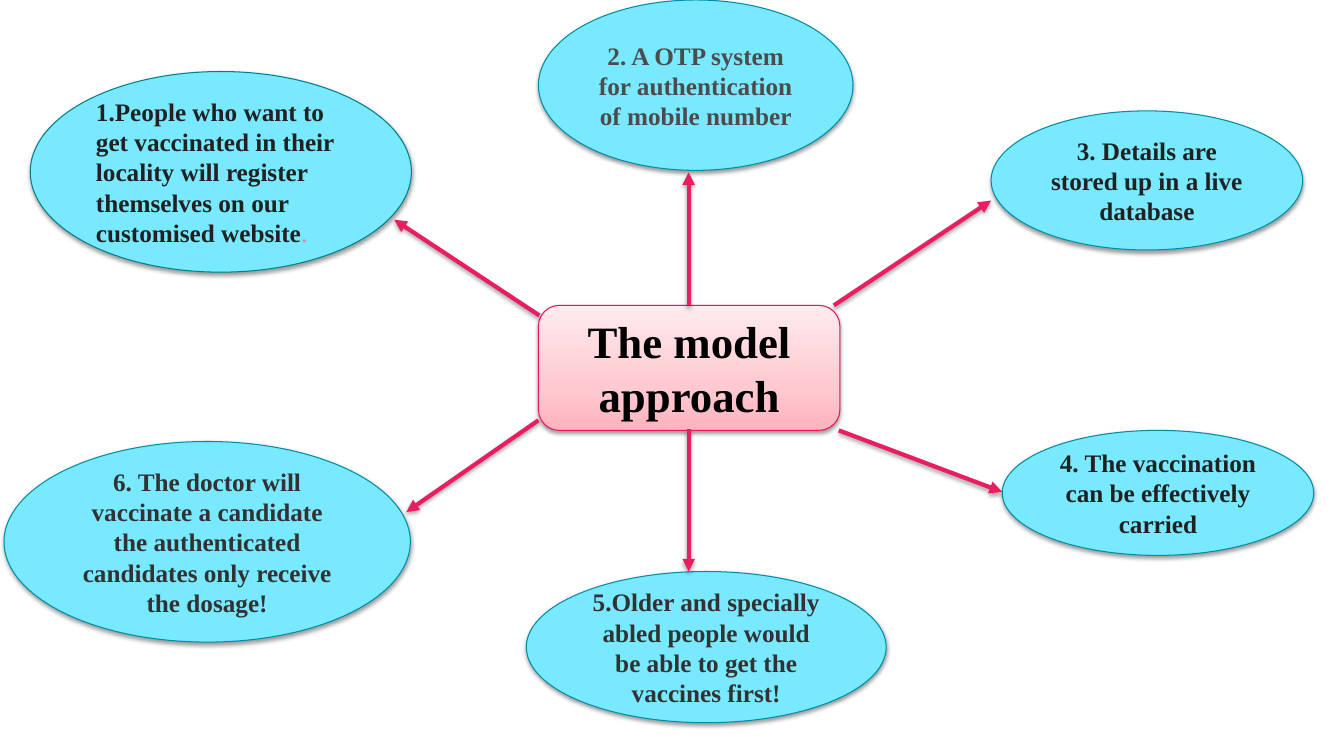
from copy import deepcopy
from dataclasses import dataclass

from pptx import Presentation
from pptx.dml.color import RGBColor as Rgb
from pptx.enum.shapes import MSO_CONNECTOR as Link, MSO_SHAPE as Kind
from pptx.enum.text import MSO_ANCHOR as Anchor, PP_ALIGN as Align
from pptx.oxml import parse_xml
from pptx.oxml.ns import nsdecls, qn
from pptx.util import Inches, Pt


@dataclass(frozen=True)
class Theme:
    font: str = "Times New Roman"
    title: int = 32
    body: int = 18
    thin: float = 0.75
    thick: float = 3
    black: str = "000000"
    ink: str = "212121"
    soft: str = "323232"
    gray: str = "4C4C4C"
    pink: str = "F277A1"
    sky: str = "78E9FF"
    teal: str = "008DA8"
    deep: str = "00808C"
    rose: str = "E9175F"
    arrow: str = "E91D63"
    blush: tuple = ((0, "FFB3BE"), (0.35, "FFC9D1"), (1, "FFEBED"))


class Board:
    """Draws on one slide; lengths are columns and rows of a 0.1 inch grid."""

    cell = Inches(0.1)

    def __init__(self, slide, theme):
        self.slide, self.theme = slide, theme

    def grid(self, *cells):
        return [round(n * self.cell) for n in cells]

    def stroke(self, item, color, width):
        item.line.color.rgb = Rgb.from_string(color)
        item.line.width = Pt(width)

    def shade(self, item, alpha, drop):
        """Add a soft shadow that falls straight down."""
        item.element.spPr.append(parse_xml(
            f'<a:effectLst {nsdecls("a")}><a:outerShdw blurRad="{Pt(3.1)}" '
            f'dist="{Pt(drop)}" dir="5400000" rotWithShape="0">'
            f'<a:srgbClr val="{self.theme.black}"><a:alpha val="{alpha * 1000}"/>'
            '</a:srgbClr></a:outerShdw></a:effectLst>'))

    def blend(self, fill, stops, angle):
        fill.gradient()
        fill.gradient_angle = angle
        first = fill.gradient_stops[0]
        first.color.rgb = Rgb.from_string(self.theme.black)
        # The default gradient has two stops, so add any others needed.
        group = fill._xPr.find(qn("a:gradFill")).find(qn("a:gsLst"))
        while len(group) < len(stops):
            group.append(deepcopy(group[0]))
        for stop, (place, color) in zip(fill.gradient_stops, stops):
            stop.position = place
            stop.color.rgb = Rgb.from_string(color)

    def shape(self, kind, box, fill, line):
        item = self.slide.shapes.add_shape(kind, *self.grid(*box))
        if isinstance(fill, str):
            item.fill.solid()
            item.fill.fore_color.rgb = Rgb.from_string(fill)
        else:
            self.blend(item.fill, fill, 90)
        self.stroke(item, line, self.theme.thin)
        self.shade(item, 38, 1.6)
        return item

    def text(self, item, runs, size, align=Align.CENTER):
        """Fill an item with runs of (words, color, bold)."""
        frame = item.text_frame
        for name, value in {"word_wrap": True,
                            "vertical_anchor": Anchor.MIDDLE}.items():
            setattr(frame, name, value)
        para = frame.paragraphs[0]
        para.alignment = align
        for words, color, bold in runs:
            run = para.add_run()
            run.text = words
            style = {"name": self.theme.font, "size": Pt(size), "bold": bold}
            for name, value in style.items():
                setattr(run.font, name, value)
            run.font.color.rgb = Rgb.from_string(color)

    def hub(self, box, words):
        item = self.shape(Kind.ROUNDED_RECTANGLE, box,
                          self.theme.blush, self.theme.rose)
        self.text(item, [(words, self.theme.black, True)], self.theme.title)

    def step(self, box, runs, line=None, align=Align.CENTER):
        item = self.shape(Kind.OVAL, box, self.theme.sky,
                          line or self.theme.teal)
        self.text(item, runs, self.theme.body, align)

    def arrow(self, start, end):
        item = self.slide.shapes.add_connector(
            Link.STRAIGHT, *self.grid(*start, *end))
        self.stroke(item, self.theme.arrow, self.theme.thick)
        item.element.spPr.find(qn("a:ln")).append(
            parse_xml(f'<a:tailEnd {nsdecls("a")} type="triangle"/>'))
        self.shade(item, 35, 1.8)


def main():
    deck = Presentation()
    deck.slide_width, deck.slide_height = Inches(13.33), Inches(7.5)
    theme = Theme()
    board = Board(deck.slides.add_slide(deck.slide_layouts[6]), theme)

    board.hub((53.4, 30.3, 29.9, 12.4), "The model approach")
    board.step(
        (3, 7.1, 37.8, 19.9),
        [("1.People who want to get vaccinated in their locality will register "
          "themselves on our customised website", theme.ink, True),
         (".", theme.pink, False)],
        theme.deep, Align.LEFT)

    steps = [
        ((53.4, 0, 31.2, 16.9), theme.gray,
         "2. A OTP system for authentication of mobile number"),
        ((98.3, 11, 30.9, 13.8), theme.ink,
         "3. Details are stored up in a live database"),
        ((99.4, 42.7, 30.9, 12.4), theme.ink,
         "4. The vaccination can be effectively carried"),
        ((52.2, 56.7, 35.7, 15), theme.soft,
         "5.Older and specially abled people would be able to get the "
         "vaccines first!"),
        ((0.4, 43.8, 40.3, 19.9), theme.soft,
         "6. The doctor will vaccinate a candidate the authenticated "
         "candidates only receive the dosage!"),
    ]
    for box, color, words in steps:
        board.step(box, [(words, color, True)])

    arrows = [
        ((53.5, 31.3), (39.1, 21.8)),
        ((68.3, 30.3), (68.3, 17.1)),
        ((53.4, 41.7), (40.3, 50.8)),
        ((83.2, 42.7), (99.4, 48.8)),
        ((82.7, 30.3), (98.3, 19.9)),
        ((68.3, 42.6), (68.3, 56.7)),
    ]
    for start, end in arrows:
        board.arrow(start, end)

    deck.save("out.pptx")


if __name__ == "__main__":
    main()
